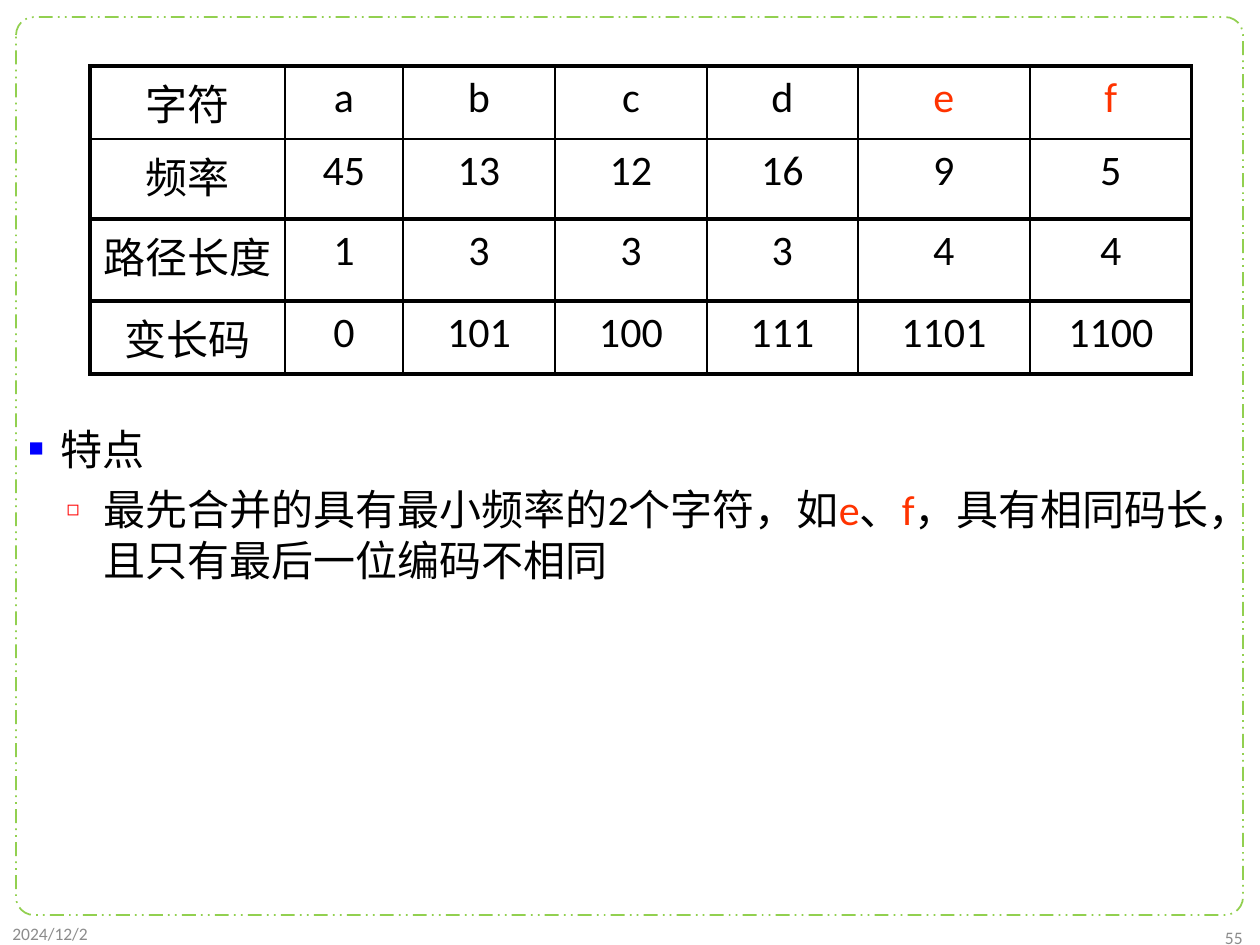
import pptx
import pptx.util
import pptx.dml.color
import pptx.enum.dml
import pptx.enum.shapes
import pptx.enum.text
import pptx.oxml
import pptx.oxml.ns
import lxml.etree

PX = 914400 / 126
THEME = {
    "latin": "Calibri", "cjk": "Noto Sans CJK SC",
    "text": "000000", "accent": "FF3300", "frame": "92D050", "muted": "8C8C8C",
    "bullet": "0000FF", "sub_bullet": "FF0000",
    "body_size": 24, "footer_size": 10, "thin": 1, "thick": 2.25,
}


def px(*lengths):
    return [pptx.util.Emu(round(n * PX)) for n in lengths]


def add_run(p, text, color=THEME["text"], size=THEME["body_size"]):
    r = p.add_run()
    r.text = text
    for name, value in {"name": THEME["latin"], "size": pptx.util.Pt(size)}.items():
        setattr(r.font, name, value)
    r.font.color.rgb = pptx.dml.color.RGBColor.from_string(color)
    ea = lxml.etree.SubElement(r.font._element, pptx.oxml.ns.qn("a:ea"))
    ea.set("typeface", THEME["cjk"])


prs = pptx.Presentation()
prs.slide_width, prs.slide_height = px(1260, 945)
s = prs.slides.add_slide(prs.slide_layouts[1])
title = s.shapes.title
title._element.getparent().remove(title._element)

# Dashed frame
sp = s.shapes.add_shape(pptx.enum.shapes.MSO_SHAPE.ROUNDED_RECTANGLE, *px(16, 17, 1227, 898))
sp.adjustments[0] = 0.02
sp.shadow.inherit = False
sp.fill.background()
sp.line.color.rgb = pptx.dml.color.RGBColor.from_string(THEME["frame"])
sp.line.width = pptx.util.Pt(THEME["thin"])
sp.line.dash_style = pptx.enum.dml.MSO_LINE.DASH_DOT_DOT

# Feature list
body = s.placeholders[1]
body.left, body.top, body.width, body.height = px(16, 417, 1226, 490)
tf = body.text_frame
tf.auto_size = pptx.enum.text.MSO_AUTO_SIZE.NONE
tf.vertical_anchor = pptx.enum.text.MSO_ANCHOR.TOP
tf.margin_top = px(6)[0]
text, accent = THEME["text"], THEME["accent"]
items = [
    # level, left margin, hanging indent, space before, bullet, bullet colour, bullet %, runs
    (0, 32, 32, 0, "■", THEME["bullet"], 60, [("特点", text)]),
    (1, 75, 37, 6, "◻", THEME["sub_bullet"], 50, [
        ("最先合并的具有最小频率的2个字符，如", text), ("e", accent), ("、", text),
        ("f", accent), ("，具有相同码长，且只有最后一位编码不相同", text)]),
]
for i, (level, margin, hang, before, char, color, percent, runs) in enumerate(items):
    p = tf.add_paragraph() if i else tf.paragraphs[0]
    pPr = p._p.get_or_add_pPr()
    for name, value in {"marL": px(margin)[0], "indent": -px(hang)[0]}.items():
        pPr.set(name, str(int(value)))
    for xml in (f'<a:buClr %s><a:srgbClr val="{color}"/></a:buClr>',
                f'<a:buSzPct %s val="{percent * 1000}"/>',
                f'<a:buChar %s char="{char}"/>'):
        pPr.append(pptx.oxml.parse_xml(xml % pptx.oxml.ns.nsdecls("a")))
    paragraph_format = {"level": level, "line_spacing": 1.0,
                        "space_before": pptx.util.Pt(before)}
    for name, value in paragraph_format.items():
        setattr(p, name, value)
    for run_text, run_color in runs:
        add_run(p, run_text, run_color)

# Date and slide number
left, right = pptx.enum.text.PP_ALIGN.LEFT, pptx.enum.text.PP_ALIGN.RIGHT
for label, box, align in (("2024/12/2", (0, 915, 284, 37), left),
                          ("55", (971, 921, 284, 33), right)):
    tf = s.shapes.add_textbox(*px(*box)).text_frame
    tf.word_wrap = True
    tf.vertical_anchor = pptx.enum.text.MSO_ANCHOR.MIDDLE
    tf.paragraphs[0].alignment = align
    add_run(tf.paragraphs[0], label, THEME["muted"], THEME["footer_size"])

# Code table
rows = [
    ["字符", "a", "b", "c", "d", "e", "f"],
    ["频率", "45", "13", "12", "16", "9", "5"],
    ["路径长度", "1", "3", "3", "3", "4", "4"],
    ["变长码", "0", "101", "100", "111", "1101", "1100"],
]
widths = px(195, 118, 152, 152, 151, 172, 162)
heights = px(73, 80, 82, 73)
frame = s.shapes.add_table(len(rows), len(widths), *px(90, 66), sum(widths), sum(heights))
table = frame.table
table.first_row = table.horz_banding = False
for column, width in zip(table.columns, widths):
    column.width = width
for row, height in zip(table.rows, heights):
    row.height = height

# Line weights by grid line: only the rule under the first row is thin
thin, thick = THEME["thin"], THEME["thick"]
h_lines = [thick, thin, thick, thick, thick]
v_lines = [thick] + [thin] * (len(widths) - 1) + [thick]
for i, row in enumerate(rows):
    for j, value in enumerate(row):
        cell = table.cell(i, j)
        p = cell.text_frame.paragraphs[0]
        p.alignment = pptx.enum.text.PP_ALIGN.CENTER
        add_run(p, value, accent if value in ("e", "f") else text)
        tcPr = cell._tc.get_or_add_tcPr()
        borders = {"lnL": v_lines[j], "lnR": v_lines[j + 1],
                   "lnT": h_lines[i], "lnB": h_lines[i + 1]}
        for tag, weight in borders.items():
            tcPr.append(pptx.oxml.parse_xml(
                f'<a:{tag} {pptx.oxml.ns.nsdecls("a")} w="{int(weight * 12700)}">'
                f'<a:solidFill><a:srgbClr val="{text}"/></a:solidFill></a:{tag}>'))
        cell.fill.background()

prs.save("out.pptx")
